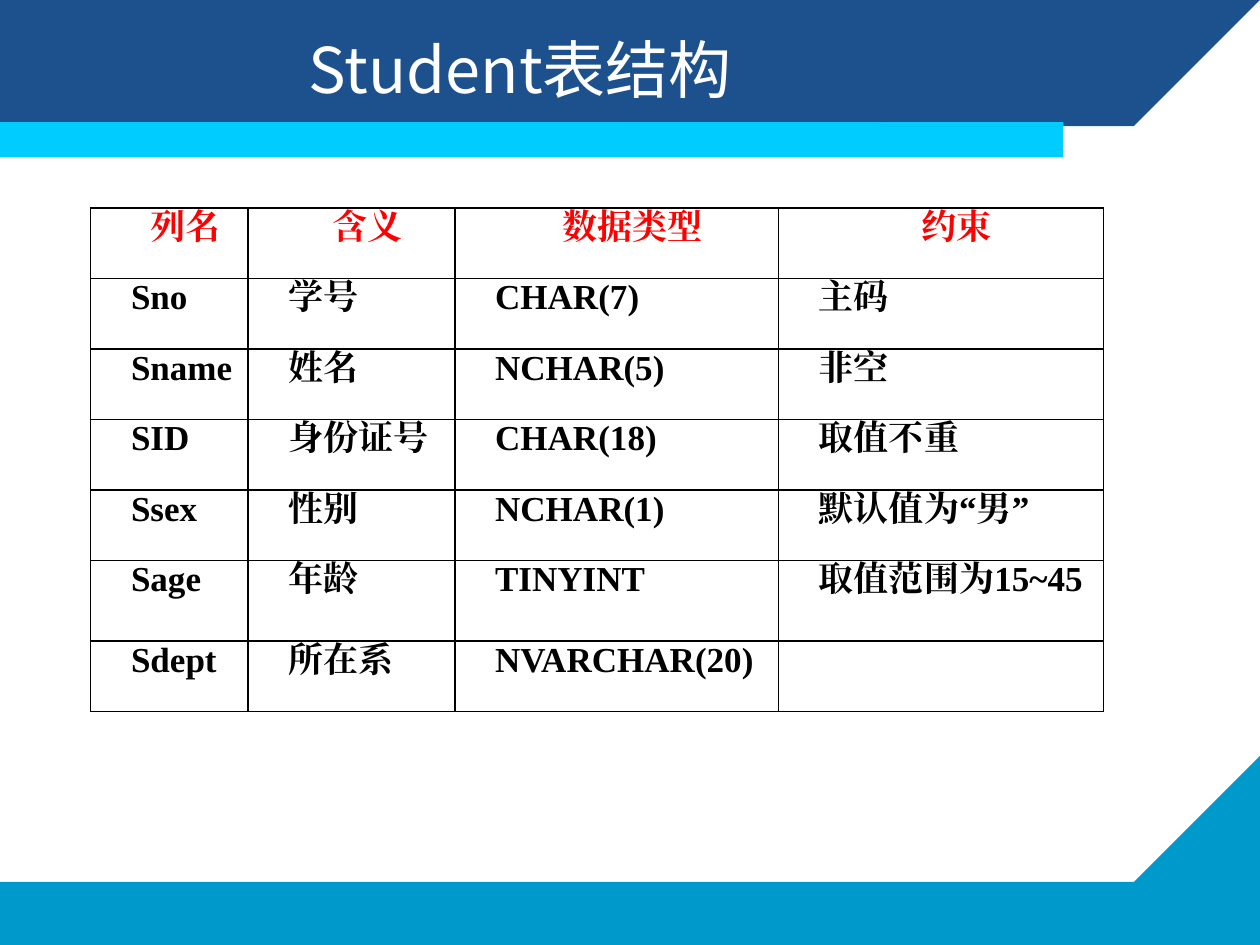
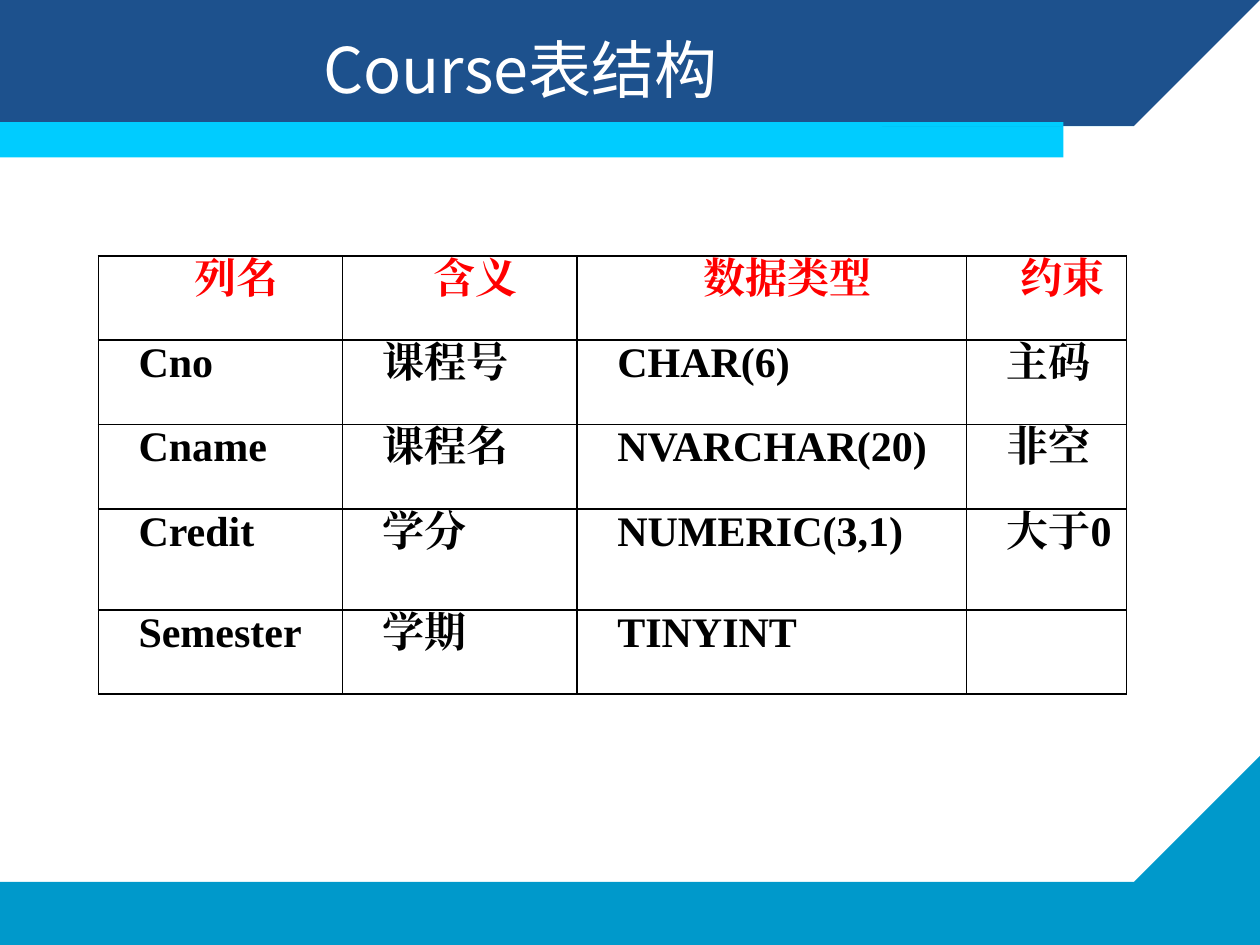
from lxml import etree
from pptx import Presentation
from pptx.dml.color import RGBColor
from pptx.enum import shapes, text
from pptx.oxml import ns
from pptx.util import Inches, Pt

COLORS = {"navy": "1D518D", "blue": "0099CB", "cyan": "00CCFF",
          "white": "FFFFFF", "black": "000000", "red": "FF0000"}
TITLE_FONT = "Noto Sans CJK SC"
TABLE_FONT = "Times New Roman"

HEADERS = ("列名", "含义", "数据类型", "约束")
TABLES = [
    {
        "title": "Student表结构",
        "left": 0.72, "top": 1.65, "font_size": 20,
        "column_widths": (1.25, 1.64, 2.57, 2.58),
        "row_height": 0.56, "taller_rows": {5: 0.64},
        "rows": [
            ("Sno", "学号", "CHAR(7)", "主码"),
            ("Sname", "姓名", "NCHAR(5)", "非空"),
            ("SID", "身份证号", "CHAR(18)", "取值不重"),
            ("Ssex", "性别", "NCHAR(1)", "默认值为“男”"),
            ("Sage", "年龄", "TINYINT", "取值范围为15~45"),
            ("Sdept", "所在系", "NVARCHAR(20)", ""),
        ],
    },
    {
        "title": "Course表结构",
        "left": 0.78, "top": 2.03, "font_size": 24,
        "column_widths": (1.94, 1.86, 3.09, 1.27),
        "row_height": 0.67, "taller_rows": {},
        "rows": [
            ("Cno", "课程号", "CHAR(6)", "主码"),
            ("Cname", "课程名", "NVARCHAR(20)", "非空"),
            ("Credit", "学分", "NUMERIC(3,1)", "大于0"),
            ("Semester", "学期", "TINYINT", ""),
        ],
    },
]

FOOTER = [(0, 7.06), (8.89, 7.06), (10, 6.17), (10, 7.5), (0, 7.5)]
HEADER_BAND = [(0, 0), (10, 0), (10, 0.4), (8.92, 1.23), (0, 1.24)]
HEADER_ACCENT = [(6.8, 1.25), (8.92, 1.25), (9.27, 0.96), (7.13, 0.96)]


def paint(shape, color):
    shape.shadow.inherit = False
    shape.fill.solid()
    shape.fill.fore_color.rgb = RGBColor.from_string(COLORS[color])
    shape.line.fill.background()


def add_polygon(slide, points, color):
    builder = slide.shapes.build_freeform(*points[0], scale=Inches(1))
    builder.add_line_segments(points[1:], close=True)
    paint(builder.convert_to_shape(), color)


def add_run(paragraph, words, font_name, size, color, bold=False):
    run = paragraph.add_run()
    run.text = words
    run.font.name = font_name
    run.font.size = Pt(size)
    run.font.bold = bold
    run.font.color.rgb = RGBColor.from_string(COLORS[color])
    east_asian = etree.SubElement(run.font._element, ns.qn("a:ea"))
    east_asian.set("typeface", font_name)


def add_frame(slide, title):
    """Draw the bands and the title that every slide shares."""
    add_polygon(slide, FOOTER, "blue")
    add_polygon(slide, HEADER_BAND, "navy")
    strip = slide.shapes.add_shape(shapes.MSO_SHAPE.RECTANGLE, Inches(0),
                                   Inches(0.97), Inches(8.44), Inches(0.28))
    paint(strip, "cyan")
    add_polygon(slide, HEADER_ACCENT, "blue")

    box = slide.shapes.add_textbox(Inches(0.42), Inches(0.17),
                                   Inches(7.42), Inches(0.75))
    frame = box.text_frame
    frame.word_wrap = True
    frame.vertical_anchor = text.MSO_ANCHOR.MIDDLE
    paragraph = frame.paragraphs[0]
    paragraph.alignment = text.PP_ALIGN.CENTER
    add_run(paragraph, title, TITLE_FONT, 36, "white")


def add_borders(cell):
    properties = cell._tc.get_or_add_tcPr()
    for side in ("lnL", "lnR", "lnT", "lnB"):
        line = etree.SubElement(properties, ns.qn(f"a:{side}"), w=str(Pt(1)))
        fill = etree.SubElement(line, ns.qn("a:solidFill"))
        etree.SubElement(fill, ns.qn("a:srgbClr"), val=COLORS["black"])


def fill_cell(cell, words, size, is_header):
    add_borders(cell)
    cell.fill.background()
    cell.margin_left = cell.margin_right = Inches(0.07)
    cell.margin_top = cell.margin_bottom = 0
    if not words:
        return
    paragraph = cell.text_frame.paragraphs[0]
    paragraph.alignment = (text.PP_ALIGN.CENTER if is_header
                           else text.PP_ALIGN.JUSTIFY)
    paragraph._p.get_or_add_pPr().set("indent", str(Inches(0.25)))
    add_run(paragraph, words, TABLE_FONT, size,
            "red" if is_header else "black", bold=True)


def add_structure_table(slide, spec_table):
    rows = [HEADERS] + spec_table["rows"]
    widths = spec_table["column_widths"]
    heights = [spec_table["taller_rows"].get(index, spec_table["row_height"])
               for index in range(len(rows))]
    table = slide.shapes.add_table(
        len(rows), len(widths),
        Inches(spec_table["left"]), Inches(spec_table["top"]),
        Inches(sum(widths)), Inches(sum(heights))).table
    table.first_row = table.horz_banding = False
    for column, width in zip(table.columns, widths):
        column.width = Inches(width)
    for index, (row, height, values) in enumerate(
            zip(table.rows, heights, rows)):
        row.height = Inches(height)
        for cell, words in zip(row.cells, values):
            fill_cell(cell, words, spec_table["font_size"], index == 0)


def main():
    presentation = Presentation()
    presentation.slide_width = Inches(10)
    presentation.slide_height = Inches(7.5)
    blank = presentation.slide_layouts[6]
    for structure in TABLES:
        slide = presentation.slides.add_slide(blank)
        add_frame(slide, structure["title"])
        add_structure_table(slide, structure)
    presentation.save("out.pptx")


if __name__ == "__main__":
    main()
